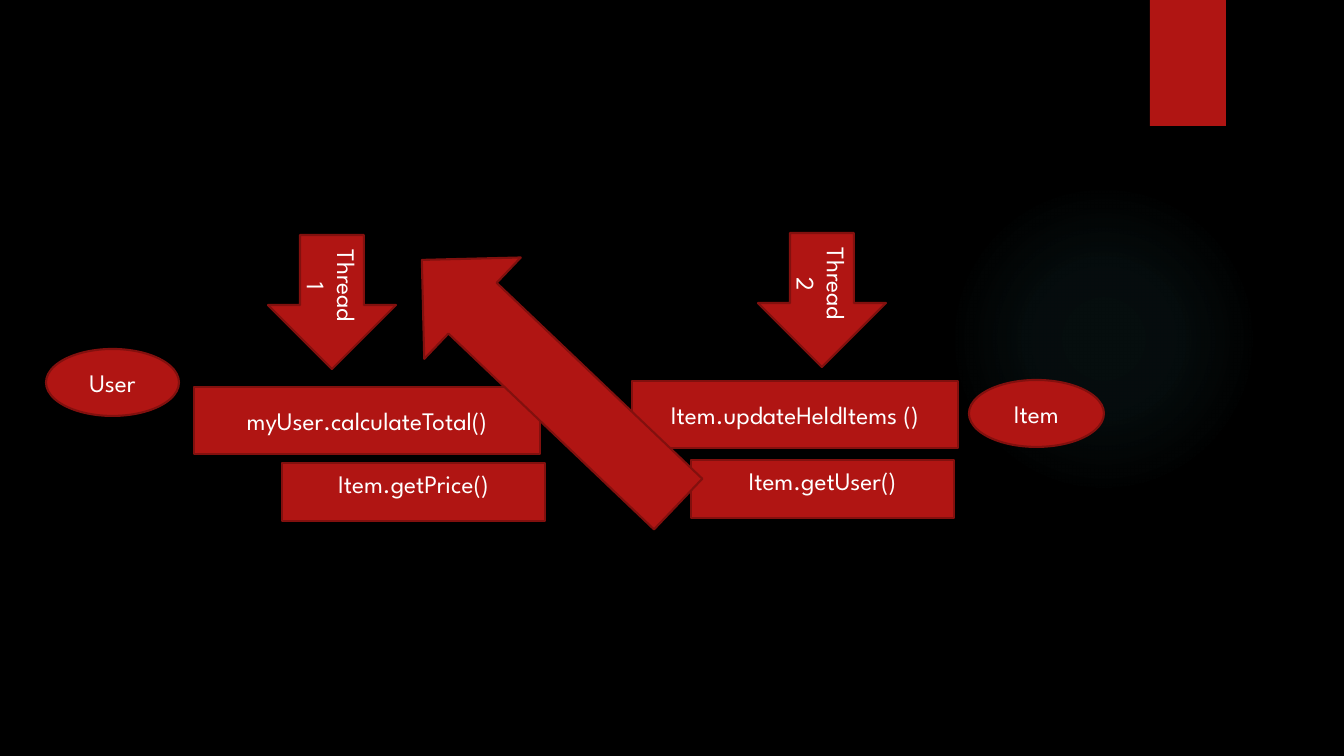
import pptx
import pptx.util
import pptx.dml.color
import pptx.enum.shapes
import pptx.enum.text
import pptx.oxml

SCALE = 914400 / 100.8
FONT = "League Spartan"
RED, EDGE, WHITE, BLACK, TEAL = "B01513", "82100E", "FFFFFF", "000000", "50B9C1"
KIND = pptx.enum.shapes.MSO_SHAPE
ANCHOR = pptx.enum.text.MSO_ANCHOR
NS = "http://schemas.openxmlformats.org/drawingml/2006/main"


def px(size):
    return pptx.util.Emu(round(size * SCALE))


def paint(fill, tone):
    fill.solid()
    fill.fore_color.rgb = pptx.dml.color.RGBColor.from_string(tone)


def add_form(slide, kind, box, edge=EDGE):
    form = slide.shapes.add_shape(kind, *map(px, box))
    form.shadow.inherit = False
    paint(form.fill, RED)
    if edge:
        paint(form.line.fill, edge)
        form.line.width = pptx.util.Pt(1.5)
    else:
        form.line.fill.background()
    return form


def add_label(slide, kind, box, text, anchor=ANCHOR.MIDDLE):
    form = add_form(slide, kind, box)
    frame = form.text_frame
    frame.word_wrap = True
    frame.vertical_anchor = anchor
    frame.text = text
    para = frame.paragraphs[0]
    para.alignment = pptx.enum.text.PP_ALIGN.CENTER
    para.font.name = FONT
    para.font.size = pptx.util.Pt(18)
    paint(para.font.fill, WHITE)
    return form


def add_thread(slide, left, top, text):
    form = add_label(slide, KIND.DOWN_ARROW, (left, top, 128, 134), text)
    form.text_frame._txBody.bodyPr.set("vert", "vert")


def add_glow(slide, box):
    form = add_form(slide, KIND.OVAL, box, None)
    stops = "".join(
        f'<a:gs pos="{spot * 1000}"><a:srgbClr val="{TEAL}">'
        f'<a:alpha val="{alpha * 1000}"/></a:srgbClr></a:gs>'
        for spot, alpha in ((0, 7), (36, 6), (69, 0))
    )
    grad = pptx.oxml.parse_xml(
        f'<a:gradFill xmlns:a="{NS}" rotWithShape="1"><a:gsLst>{stops}</a:gsLst>'
        '<a:path path="circle"><a:fillToRect l="50000" t="50000" r="50000" b="50000"/>'
        "</a:path></a:gradFill>"
    )
    props = form._element.spPr
    props.replace(props.find(f"{{{NS}}}solidFill"), grad)


def main():
    deck = pptx.Presentation()
    deck.slide_width, deck.slide_height = px(1344), px(756)
    slide = deck.slides.add_slide(deck.slide_layouts[6])
    paint(slide.background.fill, BLACK)

    add_glow(slide, (949, 184, 310, 310))
    add_form(slide, KIND.RECTANGLE, (1150, 0, 76, 126), None)

    add_label(slide, KIND.RECTANGLE, (632, 381, 326, 67), "Item.updateHeldItems ()")
    add_thread(slide, 268, 235, "Thread 1")
    add_thread(slide, 758, 233, "Thread 2")
    add_label(slide, KIND.OVAL, (46, 349, 133, 67), "User")
    add_label(slide, KIND.OVAL, (969, 380, 135, 67), "Item")
    add_label(slide, KIND.RECTANGLE, (194, 387, 346, 67), "myUser.calculateTotal()")
    for left, top, text in ((282, 463, "Item.getPrice()"), (691, 460, "Item.getUser()")):
        add_label(slide, KIND.RECTANGLE, (left, top, 263, 58), text, ANCHOR.TOP)

    arrow = add_form(slide, KIND.LEFT_ARROW, (373, 312, 354, 140))
    arrow.rotation = 43.6

    deck.save("out.pptx")


if __name__ == "__main__":
    main()
